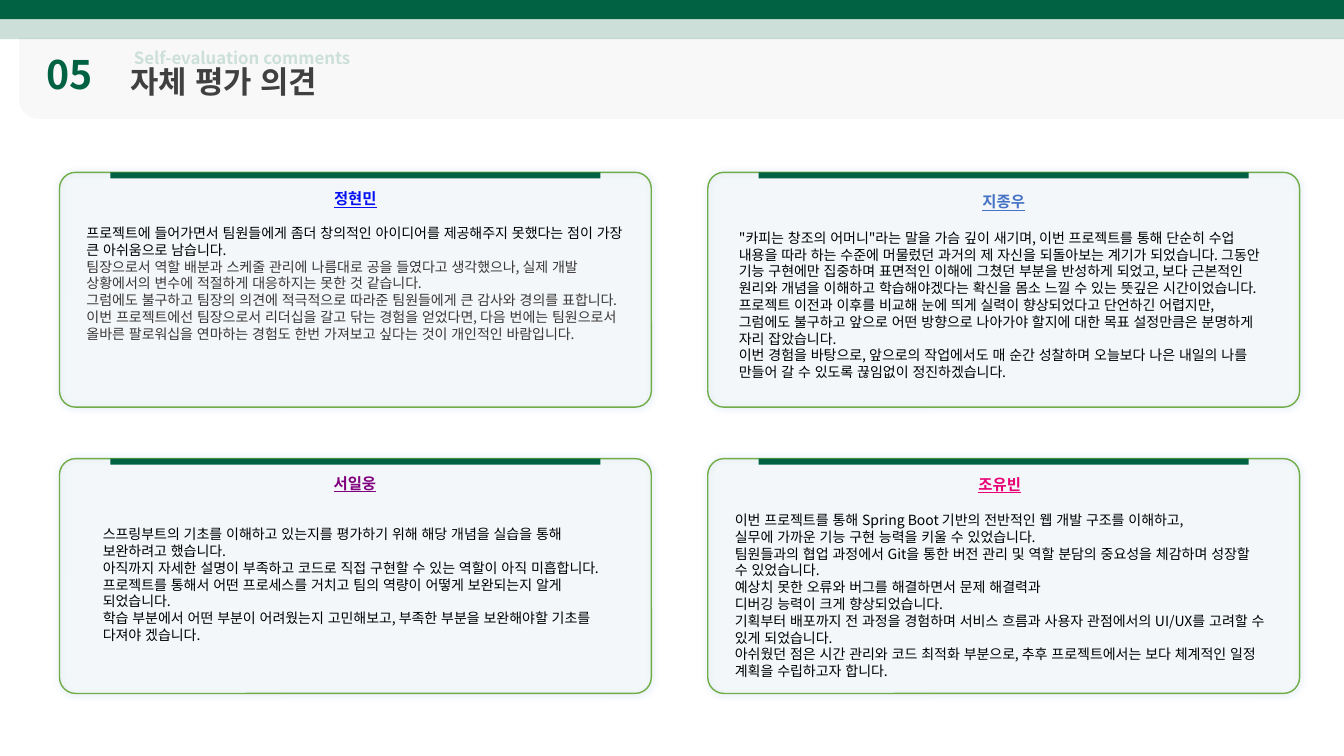
from dataclasses import dataclass

from lxml.etree import SubElement
from pptx import Presentation
from pptx.dml.color import RGBColor
from pptx.enum.lang import MSO_LANGUAGE_ID as Language
from pptx.enum.shapes import MSO_SHAPE as Preset
from pptx.enum.text import MSO_ANCHOR as Anchor, MSO_AUTO_SIZE as AutoSize, PP_ALIGN as Align
from pptx.oxml.ns import qn
from pptx.util import Inches, Pt

FONT = "Noto Sans CJK KR"
GREEN, MINT, LIME = "006242", "CCDFD9", "70AD47"
BLACK, CHARCOAL = "000000", "3B3838"
WIDTH, HEIGHT = 13.33, 7.5
GRID_LEFT, GRID_TOP = 0.59, 1.71
COLUMN_STEP, ROW_STEP = 6.43, 2.84
CARD_WIDTH, CARD_HEIGHT = 5.87, 2.33
BAR_WIDTH, BAR_HEIGHT = 4.86, 0.06
LINE_RATIO = 1.2


@dataclass(frozen=True)
class Box:
    left: float
    top: float
    width: float
    height: float

    def lengths(self) -> tuple:
        return tuple(Inches(n) for n in (self.left, self.top, self.width, self.height))


@dataclass(frozen=True)
class Comment:
    """One member's card; text_box is measured from the card's corner, gap is in points."""
    column: int
    row: int
    name: str
    name_color: str
    text_box: Box
    gap: float
    paragraphs: tuple
    colors: tuple = (BLACK,)
    inset: tuple = (0.1, 0.05)


COMMENTS = (
    Comment(1, 1, "조유빈", "E80074", Box(0.17, 0.11, 5.45, 2.15), 13.2, (
        "이번 프로젝트를 통해 Spring Boot 기반의 전반적인 웹 개발 구조를 이해하고,",
        "실무에 가까운 기능 구현 능력을 키울 수 있었습니다.\n"
        "팀원들과의 협업 과정에서 Git을 통한 버전 관리 및 역할 분담의 중요성을 체감하며 "
        "성장할 수 있었습니다.\n"
        "예상치 못한 오류와 버그를 해결하면서 문제 해결력과",
        "디버깅 능력이 크게 향상되었습니다.\n"
        "기획부터 배포까지 전 과정을 경험하며 서비스 흐름과 사용자 관점에서의 UI/UX를 "
        "고려할 수 있게 되었습니다.\n"
        "아쉬웠던 점은 시간 관리와 코드 최적화 부분으로, 추후 프로젝트에서는 보다 체계적인 "
        "일정 계획을 수립하고자 합니다.",
    )),
    Comment(1, 0, "지종우", "4472C4", Box(0.21, 0.15, 5.45, 2.32), 13.2, (
        "\"카피는 창조의 어머니\"라는 말을 가슴 깊이 새기며, 이번 프로젝트를 통해 단순히 수업 "
        "내용을 따라 하는 수준에 머물렀던 과거의 제 자신을 되돌아보는 계기가 되었습니다. "
        "그동안 기능 구현에만 집중하며 표면적인 이해에 그쳤던 부분을 반성하게 되었고, "
        "보다 근본적인 원리와 개념을 이해하고 학습해야겠다는 확신을 몸소 느낄 수 있는 "
        "뜻깊은 시간이었습니다.",
        "프로젝트 이전과 이후를 비교해 눈에 띄게 실력이 향상되었다고 단언하긴 어렵지만, "
        "그럼에도 불구하고 앞으로 어떤 방향으로 나아가야 할지에 대한 목표 설정만큼은 "
        "분명하게 자리 잡았습니다.",
        "이번 경험을 바탕으로, 앞으로의 작업에서도 매 순간 성찰하며 오늘보다 나은 내일의 "
        "나를 만들어 갈 수 있도록 끊임없이 정진하겠습니다.",
    )),
    Comment(0, 1, "서일웅", "80007F", Box(0.43, 0.15, 5, 1.87), 24, (
        "스프링부트의 기초를 이해하고 있는지를 평가하기 위해 해당 개념을 실습을 통해 "
        "보완하려고 했습니다.",
        "아직까지 자세한 설명이 부족하고 코드로 직접 구현할 수 있는 역할이 아직 미흡합니다.",
        "프로젝트를 통해서 어떤 프로세스를 거치고 팀의 역량이 어떻게 보완되는지 알게 "
        "되었습니다.",
        "학습 부분에서 어떤 부분이 어려웠는지 고민해보고, 부족한 부분을 보완해야할 기초를 "
        "다져야 겠습니다.",
    ), inset=(0, 0)),
    Comment(0, 0, "정현민", "0611F2", Box(0.17, 0.12, 5.53, 1.97), 12, (
        "프로젝트에 들어가면서 팀원들에게 좀더 창의적인 아이디어를 제공해주지 못했다는 점이 "
        "가장 큰 아쉬움으로 남습니다.",
        "팀장으로서 역할 배분과 스케줄 관리에 나름대로 공을 들였다고 생각했으나, 실제 개발 "
        "상황에서의 변수에 적절하게 대응하지는 못한 것 같습니다.",
        "그럼에도 불구하고 팀장의 의견에 적극적으로 따라준 팀원들에게 큰 감사와 경의를 "
        "표합니다.",
        "이번 프로젝트에선 팀장으로서 리더십을 갈고 닦는 경험을 얻었다면, 다음 번에는 "
        "팀원으로서 올바른 팔로워십을 연마하는 경험도 한번 가져보고 싶다는 것이 "
        "개인적인 바람입니다.",
    ), colors=(BLACK, CHARCOAL)),
)


def rgb(color: str) -> RGBColor:
    return RGBColor.from_string(color)


def add_alpha(color_element, percent: float) -> None:
    SubElement(color_element, qn("a:alpha"), val=str(round(percent * 1000)))


def draw_shape(page, preset, box: Box, fill: str, alpha=100, line=None, corner=None):
    shape = page.shapes.add_shape(preset, *box.lengths())
    shape.shadow.inherit = False
    shape.fill.solid()
    shape.fill.fore_color.rgb = rgb(fill)
    if alpha < 100:
        add_alpha(shape.element.spPr.find(f"{qn('a:solidFill')}/{qn('a:srgbClr')}"), alpha)
    if line:
        shape.line.color.rgb = rgb(line)
        shape.line.width = Pt(1)
    else:
        shape.line.fill.background()
    if corner is not None:
        shape.adjustments[0] = corner
    return shape


def add_glow(shape) -> None:
    """Give the shape a soft blue shadow with no offset."""
    effects = shape.element.spPr.find(qn("a:effectLst"))
    shadow = SubElement(effects, qn("a:outerShdw"), blurRad=str(Pt(5)), dist="0", dir="0",
                        algn="ctr", rotWithShape="0")
    add_alpha(SubElement(shadow, qn("a:srgbClr"), val="3378C8"), 29)


def prepare_frame(shape, inset=(0.1, 0.05)):
    frame = shape.text_frame
    frame.word_wrap = True
    frame.auto_size = AutoSize.NONE
    frame.vertical_anchor = Anchor.TOP
    frame.margin_left = frame.margin_right = Inches(inset[0])
    frame.margin_top = frame.margin_bottom = Inches(inset[1])
    return frame


def write(para, text: str, *, size: float, color: str, bold=False, underline=False,
          align=Align.LEFT, before: float = 0) -> None:
    para.text = text
    para.alignment = align
    para.line_spacing = Pt(size * LINE_RATIO)
    para.space_before = Pt(before)
    for span in para.runs:
        font = span.font
        font.name, font.size, font.bold, font.underline = FONT, Pt(size), bold, underline
        font.color.rgb = rgb(color)
        font.language_id = Language.KOREAN
        SubElement(span.font._element, qn("a:ea"), typeface=FONT)


def draw_header(page) -> None:
    banner = draw_shape(page, Preset.ROUND_1_RECTANGLE, Box(0.19, 0.37, WIDTH - 0.19, 0.81),
                        "F2F2F2", alpha=47, corner=0.238)
    transform = banner.element.spPr.find(qn("a:xfrm"))
    transform.set("flipH", "1")
    transform.set("flipV", "1")

    subtitle = page.shapes.add_textbox(*Box(1.23, 0.42, 3.61, 0.3).lengths())
    write(prepare_frame(subtitle).paragraphs[0], "Self-evaluation comments",
          size=12, color=MINT, bold=True)

    title = page.shapes.title
    title.left, title.top, title.width, title.height = Box(1.19, 0.57, 3.89, 0.47).lengths()
    write(prepare_frame(title).paragraphs[0], "자체 평가 의견", size=22, color="404040", bold=True)
    subtitle.element.addnext(title.element)

    number = page.shapes.add_textbox(*Box(0.36, 0.5, 0.94, 0.47).lengths())
    write(prepare_frame(number, (0.1, 0)).paragraphs[0], "05", size=28, color=GREEN, bold=True)

    draw_shape(page, Preset.RECTANGLE, Box(0, 0, WIDTH, 0.19), GREEN)
    draw_shape(page, Preset.RECTANGLE, Box(0, 0.19, WIDTH, 0.2), GREEN, alpha=20)


def draw_comment(page, comment: Comment) -> None:
    left = GRID_LEFT + comment.column * COLUMN_STEP
    top = GRID_TOP + comment.row * ROW_STEP
    card = draw_shape(page, Preset.ROUNDED_RECTANGLE, Box(left, top, CARD_WIDTH, CARD_HEIGHT),
                      MINT, alpha=10, line=LIME, corner=0.069)
    add_glow(card)
    bar_left = left + (CARD_WIDTH - BAR_WIDTH) / 2
    draw_shape(page, Preset.RECTANGLE, Box(bar_left, top, BAR_WIDTH, BAR_HEIGHT), GREEN)

    area = comment.text_box
    text_box = page.shapes.add_textbox(
        *Box(left + area.left, top + area.top, area.width, area.height).lengths())
    frame = prepare_frame(text_box, comment.inset)
    write(frame.paragraphs[0], comment.name, size=11, color=comment.name_color,
          bold=True, underline=True, align=Align.CENTER)
    for index, text in enumerate(comment.paragraphs):
        color = comment.colors[min(index, len(comment.colors) - 1)]
        write(frame.add_paragraph(), text, size=10, color=color,
              before=0 if index else comment.gap)


def main() -> None:
    deck = Presentation()
    deck.slide_width, deck.slide_height = Inches(WIDTH), Inches(HEIGHT)
    page = deck.slides.add_slide(deck.slide_layouts[5])
    draw_header(page)
    for comment in COMMENTS:
        draw_comment(page, comment)
    deck.save("out.pptx")


if __name__ == "__main__":
    main()
